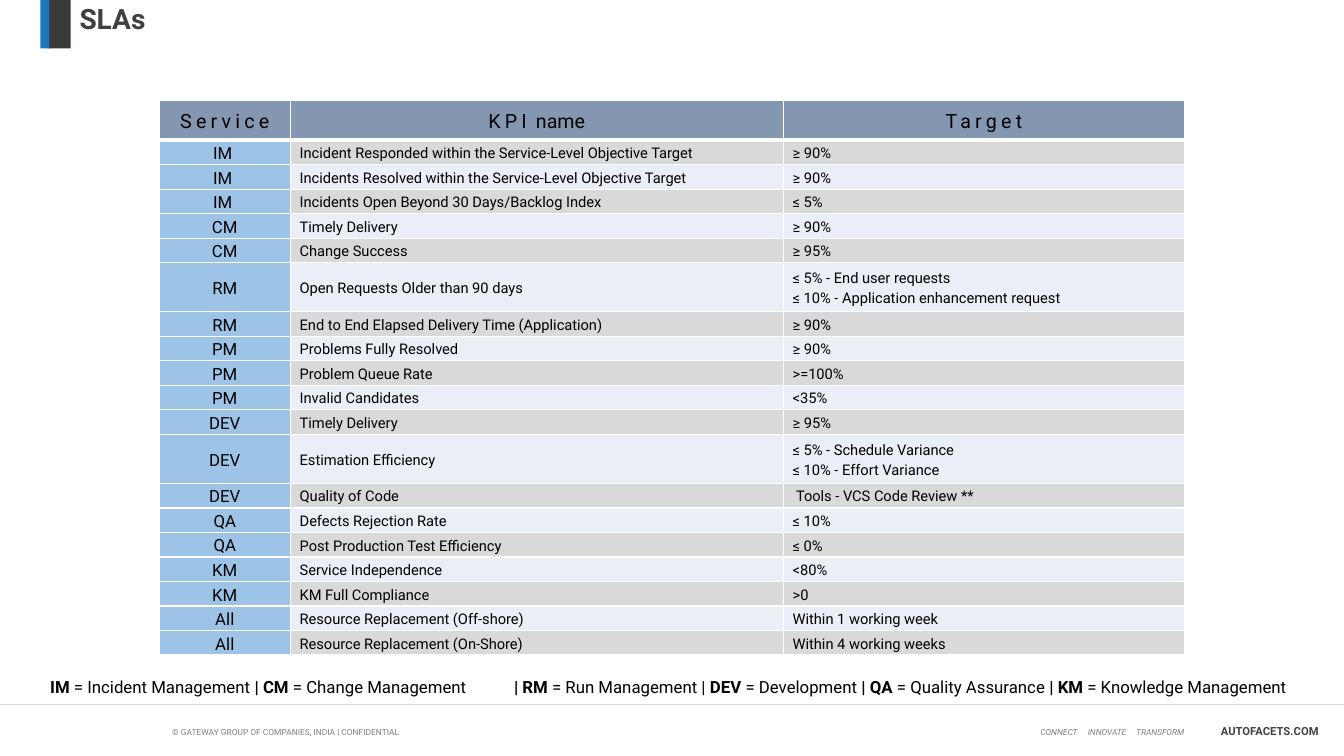
from dataclasses import dataclass
from typing import NamedTuple

from lxml import etree
from pptx import Presentation
from pptx.dml.color import RGBColor
from pptx.enum.shapes import MSO_CONNECTOR, MSO_SHAPE
from pptx.enum.text import MSO_ANCHOR, MSO_AUTO_SIZE, PP_ALIGN
from pptx.oxml.ns import qn
from pptx.util import Inches, Pt

LINE = MSO_CONNECTOR.STRAIGHT
RECT = MSO_SHAPE.RECTANGLE
MIDDLE = MSO_ANCHOR.MIDDLE
GROW = MSO_AUTO_SIZE.SHAPE_TO_FIT_TEXT
CENTER, LEFT = PP_ALIGN.CENTER, PP_ALIGN.LEFT
WIDE, HIGH = Inches(13.33), Inches(7.5)


@dataclass(frozen=True)
class Theme:
    font: str = "Roboto"
    ink: str = "000000"
    title: str = "404040"
    site: str = "414141"
    foot: str = "808080"
    rule: str = "D9D9D9"
    dark: str = "3B3838"
    blue: str = "1D76BB"
    head: str = "8497B0"
    code: str = "9DC3E6"
    bands: tuple[str, str] = ("D9D9D9", "EAEFF7")
    edge: str = "FFFFFF"
    title_pt: float = 20
    head_pt: float = 14
    code_pt: float = 12
    body_pt: float = 10.5
    site_pt: float = 8
    foot_pt: float = 6


THEME = Theme()


class Run(NamedTuple):
    text: str
    bold: bool = False
    slant: bool = False
    gap: float = 0  # letter spacing in points


class Box(NamedTuple):  # shares of the slide in percent
    x: float
    y: float
    w: float
    h: float


class Label(NamedTuple):
    box: Box
    runs: list[Run]
    size: float
    color: str
    tabs: tuple[float, ...] = ()
    indent: float = 0
    line: float = 1.0
    after: float = 0
    wrap: bool = True
    grow: bool = True


class Bar(NamedTuple):
    box: Box
    color: str


class Goal(NamedTuple):
    code: str
    name: str
    target: str


def across(share: float) -> int:
    return round(WIDE * share / 100)


def down(share: float) -> int:
    return round(HIGH * share / 100)


def place(box: Box) -> tuple[int, int, int, int]:
    return across(box.x), down(box.y), across(box.w), down(box.h)


def write(para, runs: list[Run], size: float, color: str) -> None:
    for item in runs:
        for i, text in enumerate(item.text.split("\n")):
            if i:
                para.add_line_break()
            run = para.add_run()
            run.text = text
            font = run.font
            font.name, font.size = THEME.font, Pt(size)
            font.bold, font.italic = item.bold, item.slant
            font.color.rgb = RGBColor.from_string(color)
            if item.gap:
                run._r.get_or_add_rPr().set("spc", str(round(item.gap * 100)))


def add_label(slide, label: Label) -> None:
    frame = slide.shapes.add_textbox(*place(label.box)).text_frame
    frame.word_wrap = label.wrap
    if label.grow:
        frame.auto_size = GROW
    para = frame.paragraphs[0]
    props = para._p.get_or_add_pPr()
    if label.indent:
        props.set("marL", "0")
        props.set("indent", str(across(label.indent)))
    if label.tabs:
        stops = etree.SubElement(props, qn("a:tabLst"))
        for tab in label.tabs:
            etree.SubElement(stops, qn("a:tab"), pos=str(across(tab)), algn="l")
    para.line_spacing, para.space_after = label.line, Pt(label.after)
    write(para, label.runs, label.size, label.color)


def add_bar(slide, bar: Bar) -> None:
    shape = slide.shapes.add_shape(RECT, *place(bar.box))
    shape.shadow.inherit = False
    shape.fill.solid()
    shape.fill.fore_color.rgb = RGBColor.from_string(bar.color)
    shape.line.fill.background()


def add_rule(slide, y: float) -> None:
    rule = slide.shapes.add_connector(LINE, 0, down(y), WIDE, down(y))
    rule.line.color.rgb = RGBColor.from_string(THEME.rule)
    rule.line.width = Pt(0.5)
    etree.SubElement(rule._element.spPr, qn("a:effectLst"))


def fill_cell(cell, runs: list[Run], size: float, fill: str, align, base: float = 1) -> None:
    props = cell._tc.get_or_add_tcPr()
    for side, width in (("L", 1), ("R", 1), ("T", 1), ("B", base)):
        edge = etree.SubElement(props, qn(f"a:ln{side}"), w=str(Pt(width)))
        paint = etree.SubElement(edge, qn("a:solidFill"))
        etree.SubElement(paint, qn("a:srgbClr"), val=THEME.edge)
    cell.fill.solid()
    cell.fill.fore_color.rgb = RGBColor.from_string(fill)
    cell.vertical_anchor = MIDDLE
    cell.margin_left = cell.margin_right = across(0.7)
    cell.margin_top = cell.margin_bottom = 0
    para = cell.text_frame.paragraphs[0]
    para.alignment, para.line_spacing, para.space_after = align, 1.15, Pt(10)
    write(para, runs, size, THEME.ink)


def add_goals(slide, box: Box, cols: list[float], top: float) -> None:
    table = slide.shapes.add_table(len(GOALS) + 1, len(cols), *place(box)).table
    table.first_row = table.horz_banding = False
    for col, share in zip(table.columns, cols):
        col.width = across(share)
    # Each line of target text takes one equal row unit
    lines = [goal.target.count("\n") + 1 for goal in GOALS]
    unit = (box.h - top) / sum(lines)
    for row, share in zip(table.rows, [top] + [unit * n for n in lines]):
        row.height = down(share)
    for c, runs in enumerate(HEADS):
        fill_cell(table.cell(0, c), runs, THEME.head_pt, THEME.head, CENTER, 3)
    for r, goal in enumerate(GOALS):
        band = THEME.bands[r % 2]
        fill_cell(table.cell(r + 1, 0), [Run(goal.code)], THEME.code_pt, THEME.code, CENTER)
        for c, text in enumerate((goal.name, goal.target), 1):
            fill_cell(table.cell(r + 1, c), [Run(text)], THEME.body_pt, band, LEFT)


# Table content
HEADS = [[Run("Service", gap=3)], [Run("KPI", gap=3), Run(" name")], [Run("Target", gap=3)]]
GOALS = [
    Goal("IM ", "Incident Responded within the Service-Level Objective Target", "≥ 90%"),
    Goal("IM ", "Incidents Resolved within the Service-Level Objective Target", "≥ 90%"),
    Goal("IM ", "Incidents Open Beyond 30 Days/Backlog Index", "≤ 5%"),
    Goal("CM", "Timely Delivery", "≥ 90%"),
    Goal("CM", "Change Success", "≥ 95%"),
    Goal("RM", "Open Requests Older than 90 days",
         "≤ 5% - End user requests\n≤ 10% - Application enhancement request"),
    Goal("RM", "End to End Elapsed Delivery Time (Application)", "≥ 90%"),
    Goal("PM", "Problems Fully Resolved", "≥ 90%"),
    Goal("PM", "Problem Queue Rate", ">=100%"),
    Goal("PM", "Invalid Candidates", "<35%"),
    Goal("DEV", "Timely Delivery", "≥ 95%"),
    Goal("DEV", "Estimation Efficiency", "≤ 5% - Schedule Variance\n≤ 10% - Effort Variance"),
    Goal("DEV", "Quality of Code", " Tools - VCS Code Review **"),
    Goal("QA", "Defects Rejection Rate", "≤ 10%"),
    Goal("QA", "Post Production Test Efficiency", "≤ 0%"),
    Goal("KM", "Service Independence", "<80%"),
    Goal("KM", "KM Full Compliance", ">0"),
    Goal("All", "Resource Replacement (Off-shore)", "Within 1 working week"),
    Goal("All", "Resource Replacement (On-Shore)", "Within 4 working weeks"),
]

# Footer, key and title
FOOT = [
    Label(Box(12.08, 95.47, 27.68, 2.67),
          [Run("© GATEWAY GROUP OF COMPANIES, INDIA | CONFIDENTIAL")], THEME.foot_pt, THEME.foot),
    Label(Box(76.67, 95.47, 14.55, 2.67), [Run("CONNECT\tINNOVATE\tTRANSFORM", slant=True)],
          THEME.foot_pt, THEME.foot, tabs=(3.53, 7.13)),
    Label(Box(90.1, 95.2, 9.15, 3.2), [Run("AUTOFACETS.COM", bold=True)],
          THEME.site_pt, THEME.site, wrap=False),
]
BARS = [Bar(Box(3.53, 0, 1.73, 6.4), THEME.dark), Bar(Box(3, 0, 0.68, 6.4), THEME.blue)]
TERMS = [
    ("IM", " = Incident Management "), ("| CM", " = Change Management\t"),
    ("| RM", " = Run Management | "), ("DEV ", "= Development "),
    ("| QA", " = Quality Assurance "), ("| KM", " = Knowledge Management"),
]
KEY = Label(Box(0, 88.4, 100, 4.13),
            [run for term, text in TERMS for run in (Run(term, bold=True), Run(text))],
            THEME.code_pt, THEME.ink, tabs=(34.88,), indent=3, line=1.15, after=10)
TITLE = Label(Box(5.18, 0, 94.82, 6.4), [Run("SLAs", bold=True)],
              THEME.title_pt, THEME.title, line=0.9, grow=False)


def main() -> None:
    deck = Presentation()
    deck.slide_width, deck.slide_height = WIDE, HIGH
    slide = deck.slides.add_slide(deck.slide_layouts[6])
    add_rule(slide, 93.2)
    for bar in BARS:
        add_bar(slide, bar)
    add_goals(slide, Box(11.85, 13.33, 76.29, 73.33), [9.75, 36.68, 29.86], 5.2)
    for label in (*FOOT, KEY, TITLE):
        add_label(slide, label)
    deck.save("out.pptx")


if __name__ == "__main__":
    main()
